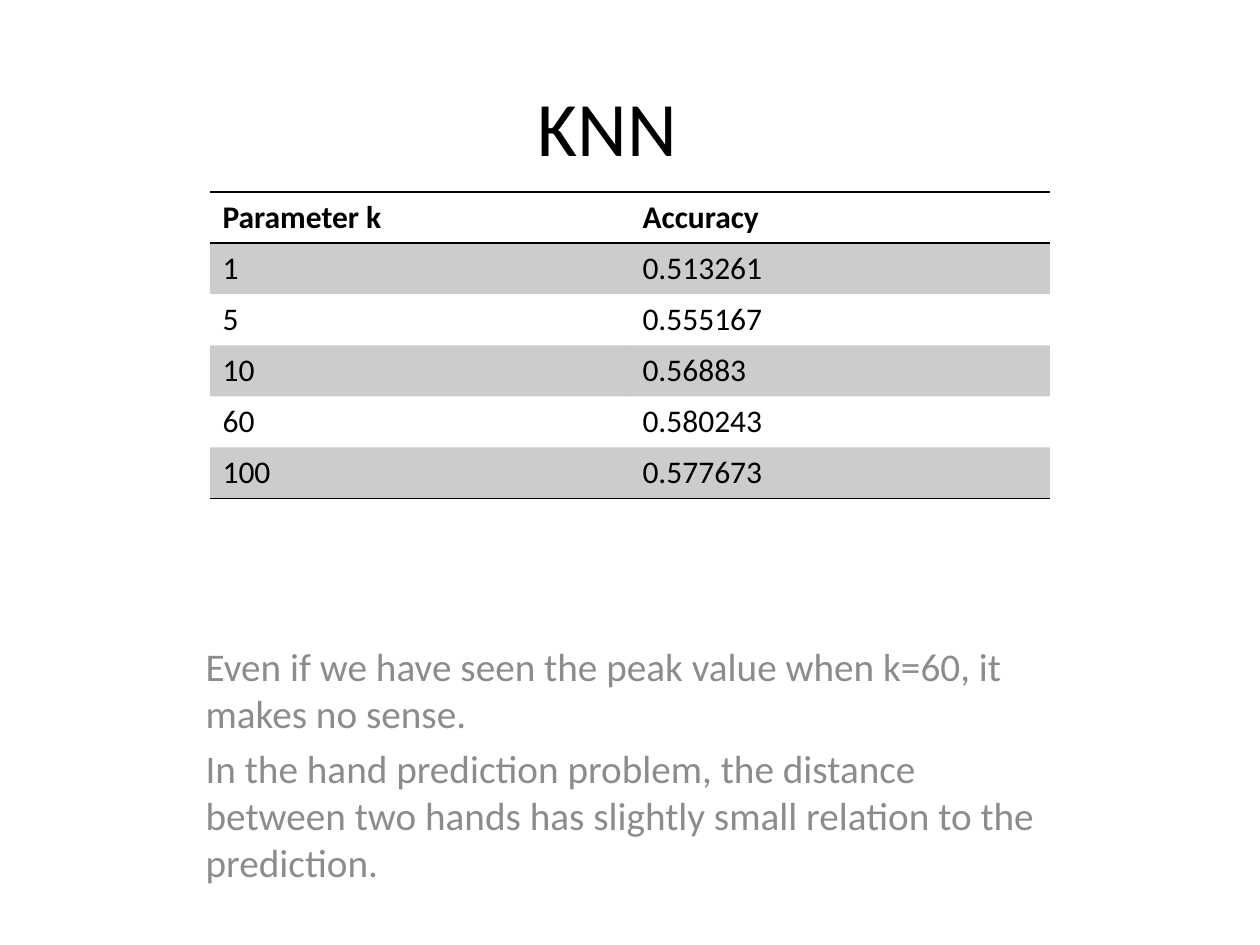
"""Build the KNN accuracy slide with its title, results table and remarks."""
from dataclasses import dataclass

from pptx import Presentation
from pptx.dml.color import RGBColor as RGB
from pptx.enum.text import MSO_ANCHOR as Anchor, MSO_AUTO_SIZE as Fit, PP_ALIGN as Align
from pptx.oxml import parse_xml
from pptx.oxml.ns import nsdecls, qn
from pptx.util import Pt


@dataclass(frozen=True)
class Theme:
    font: str = "Calibri"
    ink: str = "000000"
    grey: str = "8C8C8C"
    shade: int = 20
    title: float = 44
    body: float = 22.4
    cell: float = 18


theme = Theme()
PX = 914400 // 126


def box(*sizes):
    return [size * PX for size in sizes]


def style(para, size, color, bold=False):
    font = para.font
    font.name, font.size, font.bold = theme.font, Pt(size), bold
    font.color.rgb = RGB.from_string(color)


deck = Presentation()
deck.slide_width, deck.slide_height = box(1260, 945)
slide = deck.slides.add_slide(deck.slide_layouts[0])

title = slide.shapes.title
title.left, title.top, title.width, title.height = box(72, 24, 1071, 203)
title.text_frame.text = "KNN"
title.text_frame.vertical_anchor = Anchor.MIDDLE
head = title.text_frame.paragraphs[0]
head.alignment = Align.CENTER
style(head, theme.title, theme.ink)

notes = slide.placeholders[1]
notes.left, notes.top, notes.width, notes.height = box(193, 636, 882, 208)
frame = notes.text_frame
frame.text = "\n".join([
    "Even if we have seen the peak value when k=60, it makes no sense.",
    "In the hand prediction problem, the distance between two hands "
    "has slightly small relation to the prediction.",
])
frame.auto_size = Fit.NONE
for para in frame.paragraphs:
    para.alignment = Align.LEFT
    para.space_before = Pt(4.5)
    style(para, theme.body, theme.grey)

rows = [
    ("Parameter k", "Accuracy"),
    ("1", "0.513261"),
    ("5", "0.555167"),
    ("10", "0.56883"),
    ("60", "0.580243"),
    ("100", "0.577673"),
]
last = len(rows) - 1
edges = {0: ("lnT", "lnB"), last: ("lnB",)}
table = slide.shapes.add_table(len(rows), 2, *box(210, 192, 840, 51 * len(rows))).table
plain = "{2D5ABB26-0587-4C30-8999-92F81FD0307C}"
table._tbl.tblPr.find(qn("a:tableStyleId")).text = plain
table.horz_banding = False

for r, row in enumerate(rows):
    for c, text in enumerate(row):
        cell = table.cell(r, c)
        cell.text = text
        style(cell.text_frame.paragraphs[0], theme.cell, theme.ink, r == 0)
        props = cell._tc.get_or_add_tcPr()
        for edge in edges.get(r, ()):
            props.append(parse_xml(
                f'<a:{edge} {nsdecls("a")} w="{Pt(1)}"><a:solidFill>'
                f'<a:srgbClr val="{theme.ink}"/></a:solidFill></a:{edge}>'))
        if r % 2:
            cell.fill.solid()
            cell.fill.fore_color.rgb = RGB.from_string(theme.ink)
            color = props.find(qn("a:solidFill")).find(qn("a:srgbClr"))
            color.append(parse_xml(
                f'<a:alpha {nsdecls("a")} val="{theme.shade * 1000}"/>'))
        else:
            cell.fill.background()

deck.save("out.pptx")
